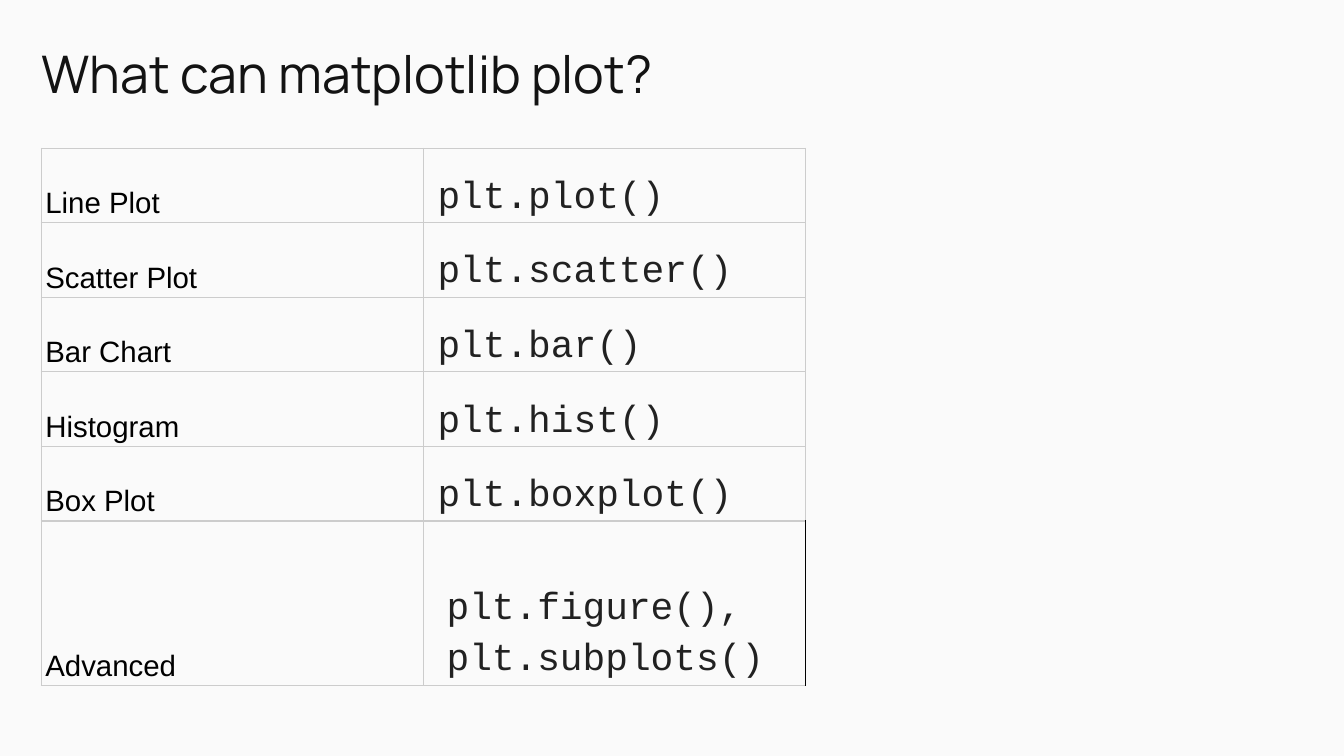
from dataclasses import dataclass

from lxml.etree import SubElement
from pptx import Presentation
from pptx.dml.color import RGBColor
from pptx.enum.text import MSO_ANCHOR
from pptx.oxml.ns import qn
from pptx.util import Inches, Pt


@dataclass(frozen=True)
class TextStyle:
    """Font, size, colour, line spacing and indent of a kind of text."""
    font: str
    size: float
    color: str
    spacing: float = 1.0
    indent: float = 0


@dataclass(frozen=True)
class Theme:
    """Colours and type styles of the slide."""
    background: str = "FAFAFA"
    grid: str = "CCCCCC"
    edge: str = "000000"
    title: TextStyle = TextStyle("Manrope", 37, "131313")
    label: TextStyle = TextStyle("Arial", 21, "000000", 1.15)
    code: TextStyle = TextStyle("Courier New", 27, "212121", 1.2, 0.1)


THEME = Theme()
PLOTS = [
    ("Line Plot", "plt.plot()"),
    ("Scatter Plot", "plt.scatter()"),
    ("Bar Chart", "plt.bar()"),
    ("Histogram", "plt.hist()"),
    ("Box Plot", "plt.boxplot()"),
    ("Advanced", "plt.figure(),\nplt.subplots()"),
]
ROW_HEIGHT, ADVANCED_HEIGHT = 0.74, 1.63


def write(frame, text, style):
    """Fill a text frame with styled paragraphs, one per line."""
    frame.text = text
    for paragraph in frame.paragraphs:
        if style.indent:
            properties = paragraph._p.get_or_add_pPr()
            properties.set("marL", str(Inches(style.indent)))
            properties.set("indent", "0")
        paragraph.line_spacing = style.spacing
        paragraph.font.name = style.font
        paragraph.font.size = Pt(style.size)
        paragraph.font.color.rgb = RGBColor.from_string(style.color)


def border(cell, right_color):
    """Draw 1 pt borders around a cell, with its own right colour."""
    properties = cell._tc.get_or_add_tcPr()
    for side in ("lnL", "lnR", "lnT", "lnB"):
        line = SubElement(properties, qn(f"a:{side}"), w=str(Pt(1)))
        fill = SubElement(line, qn("a:solidFill"))
        color = right_color if side == "lnR" else THEME.grid
        SubElement(fill, qn("a:srgbClr"), val=color)


def add_title(slide, left, top, width, height):
    """Place the slide title in the given box."""
    frame = slide.shapes.add_textbox(
        Inches(left), Inches(top), Inches(width), Inches(height)).text_frame
    frame.word_wrap = True
    frame.margin_left = frame.margin_right = 0
    frame.margin_top = frame.margin_bottom = 0
    write(frame, "What can matplotlib plot?", THEME.title)


def style_cell(cell, text, style, side_margin, right_color):
    """Write one bottom-aligned, bordered and unfilled cell."""
    cell.margin_left = cell.margin_right = Inches(side_margin)
    cell.margin_top = cell.margin_bottom = Inches(0.03)
    cell.vertical_anchor = MSO_ANCHOR.BOTTOM
    write(cell.text_frame, text, style)
    border(cell, right_color)
    cell.fill.background()


def add_plot_table(slide, left, top, width, height):
    """Place the table of plot kinds and their functions."""
    table = slide.shapes.add_table(
        len(PLOTS), 2, Inches(left), Inches(top),
        Inches(width), Inches(height)).table
    table.first_row = table.horz_banding = False
    for column in table.columns:
        column.width = Inches(width / 2)
    for index, (kind, function) in enumerate(PLOTS):
        advanced = kind == "Advanced"
        table.rows[index].height = Inches(
            ADVANCED_HEIGHT if advanced else ROW_HEIGHT)
        style_cell(table.cell(index, 0), kind, THEME.label, 0.04, THEME.grid)
        style_cell(table.cell(index, 1), function, THEME.code,
                   0.13 if advanced else 0.04,
                   THEME.edge if advanced else THEME.grid)


def main():
    """Build and save the slide."""
    deck = Presentation()
    deck.slide_width, deck.slide_height = Inches(13.33), Inches(7.5)
    slide = deck.slides.add_slide(deck.slide_layouts[6])
    slide.background.fill.solid()
    slide.background.fill.fore_color.rgb = RGBColor.from_string(
        THEME.background)
    add_title(slide, 0.41, 0.41, 7.53, 1.59)
    add_plot_table(slide, 0.41, 1.47, 7.58,
                   ROW_HEIGHT * (len(PLOTS) - 1) + ADVANCED_HEIGHT)
    deck.save("out.pptx")


if __name__ == "__main__":
    main()
